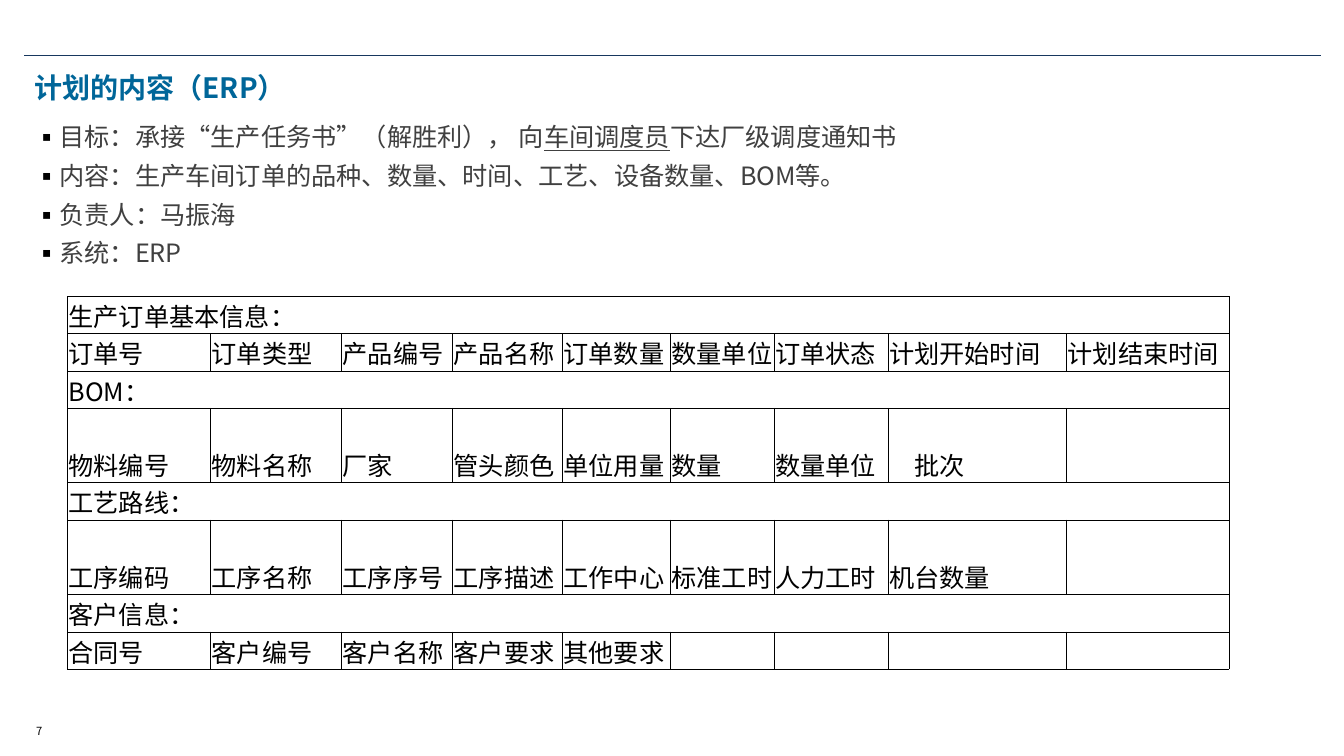
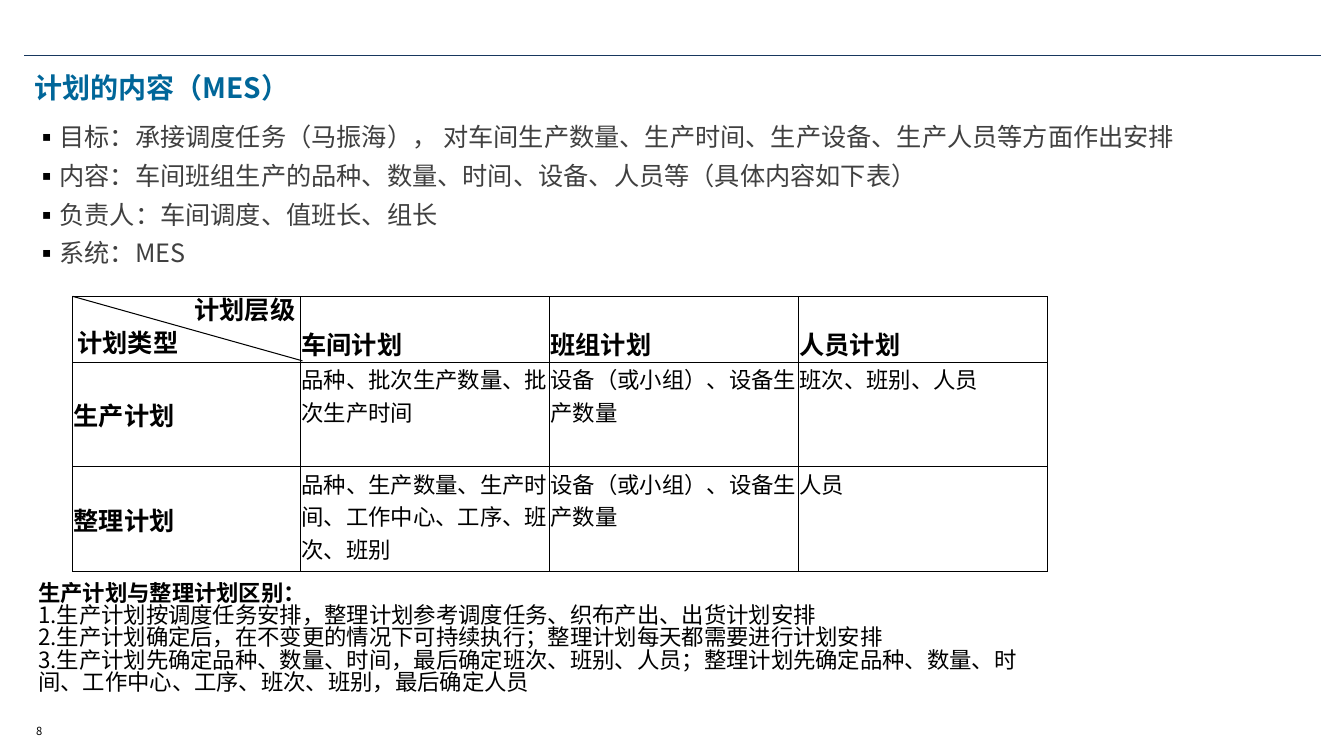
"""Build two slides on the contents of ERP and MES production plans."""
from dataclasses import dataclass

from lxml import etree
from pptx import Presentation
from pptx import util as u
from pptx.dml import color
from pptx.enum import shapes, text
from pptx.oxml import ns

FONT = "Noto Sans CJK SC"
COLORS = {"rule": "17375E", "title": "006699", "body": "404040", "ink": "000000"}
ANCHORS = {
    "top": text.MSO_ANCHOR.TOP,
    "middle": text.MSO_ANCHOR.MIDDLE,
    "bottom": text.MSO_ANCHOR.BOTTOM,
}


@dataclass(frozen=True)
class Style:
    size: float
    color: str = "ink"
    bold: bool = False
    underline: bool = False


@dataclass(frozen=True)
class Area:
    left: float
    top: float
    width: float
    height: float

    def lengths(self) -> tuple:
        return tuple(u.Inches(v) for v in (self.left, self.top, self.width, self.height))


@dataclass(frozen=True)
class Entry:
    words: str
    style: Style
    anchor: str = "bottom"


@dataclass(frozen=True)
class Grid:
    left: float
    top: float
    columns: tuple
    rows: tuple


TITLE = Style(20, "title", bold=True)
BODY = Style(18, "body")
BODY_LINK = Style(18, "body", underline=True)
CELL = Style(18)
CELL_BOLD = Style(18, bold=True)
DETAIL = Style(16)
DETAIL_BOLD = Style(16, bold=True)
PAGE_NUMBER = Style(8)

TITLE_AREA = Area(0.24, 0.69, 12.86, 0.76)
BODY_AREA = Area(0.24, 1.14, 12.86, 1.8)
NUMBER_AREA = Area(0.26, 7.13, 0.94, 0.24)

ORDER_GRID = Grid(
    0.67, 2.94,
    (1.42, 1.3, 1.1, 1.09, 1.07, 1.03, 1.13, 1.77, 1.61),
    (0.37, 0.37, 0.37, 0.74, 0.37, 0.74, 0.37, 0.37),
)
ORDER_SECTIONS = (
    ("生产订单基本信息：", ("订单号", "订单类型", "产品编号", "产品名称", "订单数量",
                   "数量单位", "订单状态", "计划开始时间", "计划结束时间")),
    ("BOM：", ("物料编号", "物料名称", "厂家", "管头颜色", "单位用量", "数量", "数量单位", "　批次")),
    ("工艺路线：", ("工序编码", "工序名称", "工序序号", "工序描述", "工作中心",
               "标准工时", "人力工时", "机台数量")),
    ("客户信息：", ("合同号", "客户编号", "客户名称", "客户要求", "其他要求")),
)

PLAN_GRID = Grid(0.72, 2.94, (2.26, 2.47, 2.47, 2.47), (0.65, 1.04, 1.04))
PLAN_LEVELS = ("车间计划", "班组计划", "人员计划")
PLAN_TYPES = (
    ("生产计划", ("品种、批次生产数量、批次生产时间", "设备（或小组）、设备生产数量", "班次、班别、人员")),
    ("整理计划", ("品种、生产数量、生产时间、工作中心、工序、班次、班别",
              "设备（或小组）、设备生产数量", "人员")),
)
PLAN_LABELS = (
    ("计划类型", Area(0.67, 3.23, 1.26, 0.4)),
    ("计划层级", Area(1.83, 2.9, 1.26, 0.4)),
)
DIFFERENCES = (
    ("生产计划与整理计划区别：", DETAIL_BOLD),
    ("1.生产计划按调度任务安排，整理计划参考调度任务、织布产出、出货计划安排", DETAIL),
    ("2.生产计划确定后，在不变更的情况下可持续执行；整理计划每天都需要进行计划安排", DETAIL),
    ("3.生产计划先确定品种、数量、时间，最后确定班次、班别、人员；整理计划先确定品种、数量、时间、"
     "工作中心、工序、班次、班别，最后确定人员", DETAIL),
)

ERP_POINTS = (
    (("目标：承接“生产任务书”（解胜利）， 向", BODY), ("车间调度员", BODY_LINK),
     ("下达厂级调度通知书", BODY)),
    (("内容：生产车间订单的品种、数量、时间、工艺、设备数量、BOM等。", BODY),),
    (("负责人：马振海", BODY),),
    (("系统：ERP", BODY),),
)
MES_POINTS = (
    (("目标：承接调度任务（马振海）， 对车间生产数量、生产时间、生产设备、生产人员等方面作出安排", BODY),),
    (("内容：车间班组生产的品种、数量、时间、设备、人员等（具体内容如下表）", BODY),),
    (("负责人：车间调度、值班长、组长", BODY),),
    (("系统：MES", BODY),),
)


def rgb(name: str) -> color.RGBColor:
    return color.RGBColor.from_string(COLORS[name])


def add_span(para, words: str, style: Style) -> None:
    span = para.add_run()
    span.text = words
    font = span.font
    font.size = u.Pt(style.size)
    font.bold = style.bold
    font.underline = style.underline
    font.color.rgb = rgb(style.color)
    font.name = FONT
    latin = span._r.get_or_add_rPr().find(ns.qn("a:latin"))
    east_asian = etree.Element(ns.qn("a:ea"), typeface=FONT)
    latin.addnext(east_asian)


def add_paragraphs(frame, paragraphs, spacing: float, before: float = 0, bullet: bool = False) -> None:
    for index, spans in enumerate(paragraphs):
        para = frame.add_paragraph() if index else frame.paragraphs[0]
        para.alignment = text.PP_ALIGN.LEFT
        para.line_spacing = spacing
        para.space_before = u.Pt(before if index else 0)
        if bullet:
            add_bullet(para)
        for words, style in spans:
            add_span(para, words, style)


def add_bullet(para) -> None:
    properties = para._p.get_or_add_pPr()
    indent = u.Inches(0.19)
    properties.set("marL", str(indent))
    properties.set("indent", str(-indent))
    bullet_color = etree.SubElement(properties, ns.qn("a:buClr"))
    etree.SubElement(bullet_color, ns.qn("a:srgbClr"), val=COLORS["ink"])
    etree.SubElement(properties, ns.qn("a:buFont"), typeface=FONT)
    etree.SubElement(properties, ns.qn("a:buChar"), char="▪")


def place(holder, area: Area) -> None:
    holder.left, holder.top, holder.width, holder.height = area.lengths()
    frame = holder.text_frame
    frame.auto_size = text.MSO_AUTO_SIZE.NONE
    frame.vertical_anchor = ANCHORS["top"]
    frame.word_wrap = True


def add_box(page, area: Area, paragraphs, spacing: float = 0.9, anchor: str = "top") -> None:
    box = page.shapes.add_textbox(*area.lengths())
    box.text_frame.word_wrap = True
    box.text_frame.vertical_anchor = ANCHORS[anchor]
    add_paragraphs(box.text_frame, paragraphs, spacing)


def add_line(page, start: tuple, end: tuple, width: float, name: str) -> None:
    points = [u.Inches(v) for v in (*start, *end)]
    line = page.shapes.add_connector(shapes.MSO_CONNECTOR.STRAIGHT, *points)
    line.line.color.rgb = rgb(name)
    line.line.width = u.Pt(width)
    etree.SubElement(line._element.spPr, ns.qn("a:effectLst"))


def add_page(deck, number: int, heading: str, points):
    page = deck.slides.add_slide(deck.slide_layouts[1])
    add_line(page, (0.24, 0.55), (13.1, 0.55), 1, "rule")
    add_box(page, NUMBER_AREA, [[(str(number), PAGE_NUMBER)]], 1, "middle")
    title, body = page.shapes.title, page.placeholders[1]
    place(title, TITLE_AREA)
    add_paragraphs(title.text_frame, [[(heading, TITLE)]], 0.9)
    place(body, BODY_AREA)
    add_paragraphs(body.text_frame, points, 1.05, 5, bullet=True)
    return page


def format_cell(cell) -> None:
    cell.margin_left = cell.margin_top = cell.margin_right = u.Inches(0.01)
    cell.margin_bottom = 0
    properties = cell._tc.get_or_add_tcPr()
    for side in ("lnL", "lnR", "lnT", "lnB"):
        border = etree.SubElement(properties, ns.qn(f"a:{side}"), w=str(u.Pt(0.5)))
        fill = etree.SubElement(border, ns.qn("a:solidFill"))
        etree.SubElement(fill, ns.qn("a:srgbClr"), val=COLORS["ink"])
    cell.fill.background()


def add_grid(page, grid: Grid, entries: list):
    area = Area(grid.left, grid.top, sum(grid.columns), sum(grid.rows))
    table = page.shapes.add_table(len(grid.rows), len(grid.columns), *area.lengths()).table
    table.first_row = table.horz_banding = False
    for column, width in zip(table.columns, grid.columns):
        column.width = u.Inches(width)
    for row, height in zip(table.rows, grid.rows):
        row.height = u.Inches(height)
    for cell in table.iter_cells():
        format_cell(cell)
    for row_index, row_entries in enumerate(entries):
        for column_index, entry in enumerate(row_entries):
            if entry:
                cell = table.cell(row_index, column_index)
                cell.vertical_anchor = ANCHORS[entry.anchor]
                add_span(cell.text_frame.paragraphs[0], entry.words, entry.style)
    return table


def add_order_table(page) -> None:
    entries = []
    for heading, fields in ORDER_SECTIONS:
        entries.append([Entry(heading, CELL, "middle")])
        entries.append([Entry(field, CELL) for field in fields])
    table = add_grid(page, ORDER_GRID, entries)
    for row in range(0, len(entries), 2):
        table.cell(row, 0).merge(table.cell(row, len(ORDER_GRID.columns) - 1))


def add_plan_table(page) -> None:
    entries = [[None, *(Entry(level, CELL_BOLD) for level in PLAN_LEVELS)]]
    for kind, details in PLAN_TYPES:
        entries.append([Entry(kind, CELL_BOLD, "middle"),
                        *(Entry(detail, DETAIL, "top") for detail in details)])
    add_grid(page, PLAN_GRID, entries)
    add_line(page, (PLAN_GRID.left, PLAN_GRID.top), (3, 3.58), 0.75, "ink")
    for words, area in PLAN_LABELS:
        add_box(page, area, [[(words, CELL_BOLD)]])


def main() -> None:
    deck = Presentation()
    deck.slide_width, deck.slide_height = u.Inches(13.33), u.Inches(7.5)
    add_order_table(add_page(deck, 7, "计划的内容（ERP）", ERP_POINTS))
    mes_page = add_page(deck, 8, "计划的内容（MES）", MES_POINTS)
    add_plan_table(mes_page)
    add_box(mes_page, Area(0.28, 5.74, 10.1, 1.43), [[line] for line in DIFFERENCES], 0.83)
    deck.save("out.pptx")


if __name__ == "__main__":
    main()
